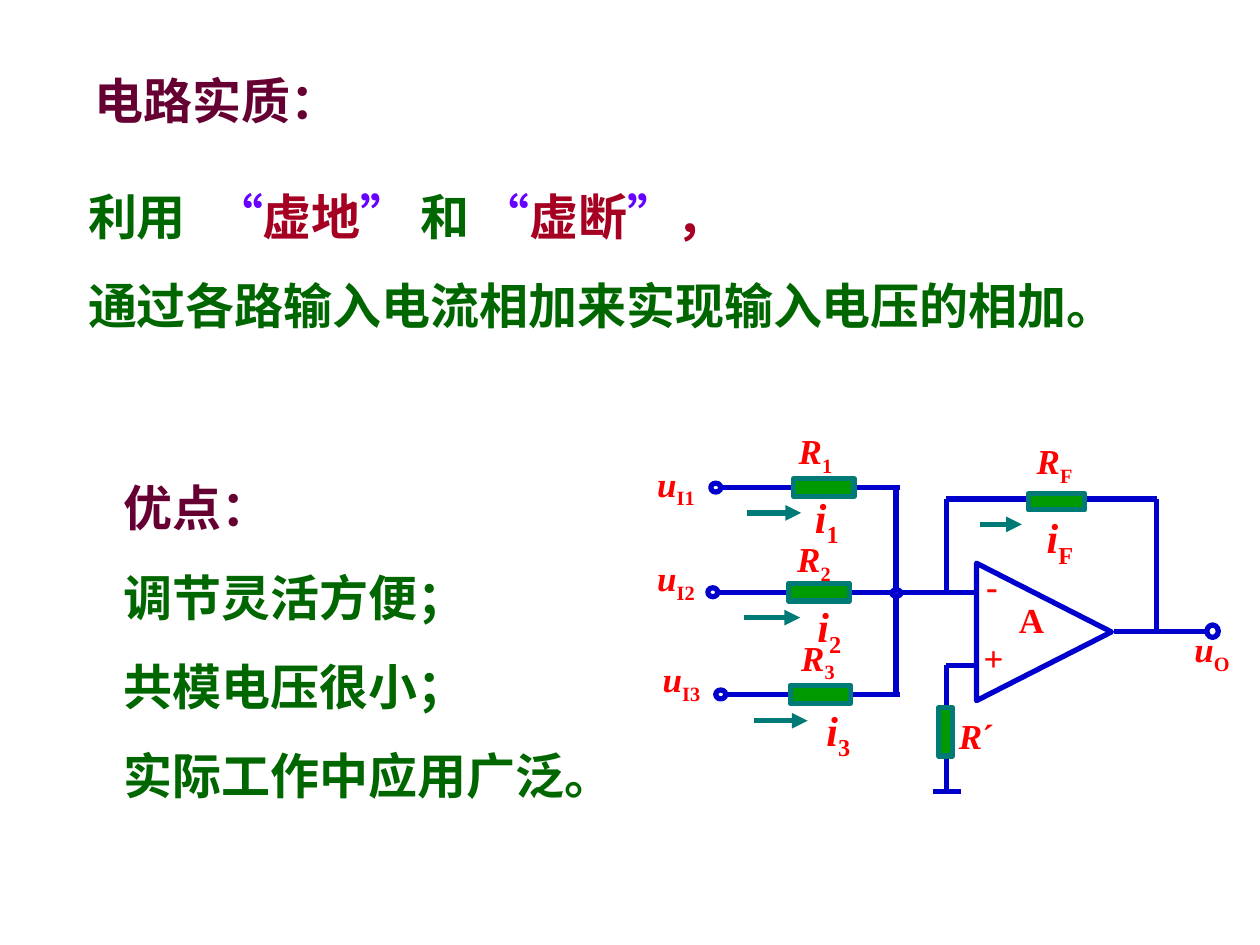
import pptx
import pptx.util
import pptx.dml.color
import pptx.enum.shapes
import pptx.enum.text
import pptx.oxml.ns
import lxml.etree

Cm, Pt = pptx.util.Cm, pptx.util.Pt
RGBColor = pptx.dml.color.RGBColor
KIND = pptx.enum.shapes.MSO_SHAPE

PLUM = RGBColor(0x66, 0x00, 0x33)
LEAF = RGBColor(0x00, 0x66, 0x00)
VIOLET = RGBColor(0x66, 0x00, 0xFF)
WINE = RGBColor(0xA5, 0x00, 0x21)
RED = RGBColor(0xFF, 0x00, 0x00)
BLUE = RGBColor(0x00, 0x00, 0xCC)
TEAL = RGBColor(0x00, 0x7A, 0x77)
GREEN = RGBColor(0x00, 0x99, 0x00)
NODE = RGBColor(0x4C, 0x30, 0xF6)


def child(parent, tag, **attrs):
    return lxml.etree.SubElement(parent, pptx.oxml.ns.qn(tag), **attrs)


class Sheet:
    font = "Times New Roman"
    width = Pt(3)

    def __init__(self, slide):
        self.slide = slide
        self.shapes = slide.shapes

    def style(self, run, size, color, italic=False):
        font = run.font
        font.name, font.size = self.font, Pt(size)
        font.bold, font.italic = True, italic
        font.color.rgb = color

    def prose(self, index, box, lines, tab=None):
        """Fill a placeholder; each line is a list of (text, colour)."""
        holder = self.slide.placeholders[index]
        holder.left, holder.top, holder.width, holder.height = map(Cm, box)
        frame = holder.text_frame
        frame.word_wrap = True
        frame.auto_size = pptx.enum.text.MSO_AUTO_SIZE.NONE
        frame.vertical_anchor = pptx.enum.text.MSO_ANCHOR.TOP
        for i, line in enumerate(lines):
            para = frame.add_paragraph() if i else frame.paragraphs[0]
            props = para._p.get_or_add_pPr()
            props.set("marL", "0")
            props.set("indent", "0")
            child(props, "a:buNone")
            if tab:
                stops = child(props, "a:tabLst")
                child(stops, "a:tab", pos=str(Cm(tab)), algn="l")
            para.alignment = pptx.enum.text.PP_ALIGN.LEFT
            para.line_spacing = 1.0
            para.space_before = Pt(17.5 if i else 0)
            for text, color in line:
                run = para.add_run()
                run.text = text
                self.style(run, 28, color)

    def label(self, x, y, text, sub="", size=20, italic=True, wide=1.6):
        box = self.shapes.add_textbox(Cm(x), Cm(y), Cm(wide), Cm(1.22))
        box.text_frame.word_wrap = True
        para = box.text_frame.paragraphs[0]
        para.text = text
        self.style(para.runs[0], size, RED, italic)
        if sub:
            run = para.add_run()
            run.text = sub
            self.style(run, size, RED)
            if sub != "´":
                run._r.get_or_add_rPr().set("baseline", "-25000")

    def wire(self, x1, y1, x2, y2, color=BLUE, arrow=False):
        link = self.shapes.add_connector(
            pptx.enum.shapes.MSO_CONNECTOR.STRAIGHT,
            Cm(x1), Cm(y1), Cm(x2), Cm(y2))
        link.line.color.rgb = color
        link.line.width = self.width
        if arrow:
            child(link.line._get_or_add_ln(), "a:tailEnd", type="triangle")
        child(link._element.spPr, "a:effectLst")

    def shape(self, kind, x, y, w, h, line=BLUE, fill=None):
        item = self.shapes.add_shape(kind, Cm(x), Cm(y), Cm(w), Cm(h))
        item.shadow.inherit = False
        item.line.color.rgb = line
        item.line.width = self.width
        if fill is None:
            item.fill.background()
        else:
            item.fill.solid()
            item.fill.fore_color.rgb = fill
        return item

    def ohm(self, x, y, w, h):
        """Resistor body."""
        self.shape(KIND.RECTANGLE, x, y, w, h, TEAL, GREEN)

    def flow(self, x, y, wide, lx, ly, sub):
        """Current arrow with its label."""
        self.wire(x, y, x + wide, y, TEAL, True)
        self.label(lx, ly, "i", sub, 24, wide=1.2)


def main():
    deck = pptx.Presentation()
    deck.slide_width, deck.slide_height = Cm(25.4), Cm(19.05)
    sheet = Sheet(deck.slides.add_slide(deck.slide_layouts[3]))

    # Heading and lists
    sheet.prose(0, (1.65, 1.3, 8.33, 1.45), [[("电路实质：", PLUM)]])
    sheet.prose(1, (1.52, 3.63, 23.7, 3.25), [
        [("利用\t", LEAF), ("“", VIOLET), ("虚地", WINE), ("” ", VIOLET),
         ("和 ", LEAF), ("“", VIOLET), ("虚断", WINE), ("”", VIOLET),
         ("，", WINE)],
        [("通过各路输入电流相加来实现输入电压的相加。", LEAF)]], tab=2.95)
    sheet.prose(2, (2.24, 9.5, 15.29, 6.86), [
        [("优点：", PLUM)], [("调节灵活方便；", LEAF)],
        [("共模电压很小；", LEAF)], [("实际工作中应用广泛。", LEAF)]])

    # Wires: input bus, feedback loop, output and ground
    bus, loop, out = 18.06, 19.08, 23.32
    top, minus, mid, plus, base = 10.06, 11.94, 12.73, 13.41, 15.95
    for ends in [(bus, 9.8, bus, 14), (bus, minus, 19.71, minus),
                 (loop, minus, loop, top), (loop, top, out, top),
                 (out, top, out, mid), (22.45, mid, 24.31, mid),
                 (loop, plus, 19.71, plus), (loop, plus, loop, base),
                 (18.8, base, 19.38, base)]:
        sheet.wire(*ends)

    # Inputs: wire y, terminal x, resistor x, u label, R label
    inputs = [(9.83, 14.33, 16, (13, 9.19), (15.85, 8.53)),
              (minus, 14.27, 15.9, (13, 11.1), (15.82, 10.72)),
              (14, 14.43, 15.93, (13.11, 13.13), (15.9, 12.7))]
    for n, (y, x, rx, volt, name) in enumerate(inputs, 1):
        sheet.wire(x + 0.2, y, bus + 0.08, y)
        sheet.shape(KIND.OVAL, x, y - 0.09, 0.2, 0.18)
        sheet.ohm(rx, y - 0.18, 1.22, 0.36)
        sheet.label(*volt, "u", f"I{n}")
        sheet.label(*name, "R", str(n))
    sheet.shape(KIND.OVAL, bus - 0.08, minus - 0.05, 0.18, 0.13, fill=NODE)

    # Amplifier
    amp = sheet.shape(KIND.ISOSCELES_TRIANGLE, 19.66, 11.38, 2.77, 2.72)
    amp.rotation = 90
    for x, y, sign in [(19.58, 12.7, "+"), (19.63, 11.25, "-"),
                       (20.29, 11.94, "A")]:
        sheet.label(x, y, sign, italic=False)

    # Feedback and ground resistors, output terminal
    sheet.ohm(20.73, top - 0.11, 1.14, 0.33)
    sheet.label(20.65, 8.74, "R", "F")
    sheet.ohm(18.92, 14.27, 0.28, 0.97)
    sheet.label(19.08, 14.27, "R", "´", wide=1.8)
    sheet.shape(KIND.OVAL, 24.33, mid - 0.13, 0.23, 0.25)
    sheet.label(23.83, 12.52, "u", "O")

    # Currents
    for flow in [(15.06, 10.34, 1.09, 16.18, 9.78, "1"),
                 (14.99, 12.45, 1.14, 16.23, 11.99, "2"),
                 (15.19, 14.53, 1.09, 16.41, 14.07, "3"),
                 (19.76, 10.57, 0.84, 20.85, 10.19, "F")]:
        sheet.flow(*flow)

    deck.save("out.pptx")


if __name__ == "__main__":
    main()
